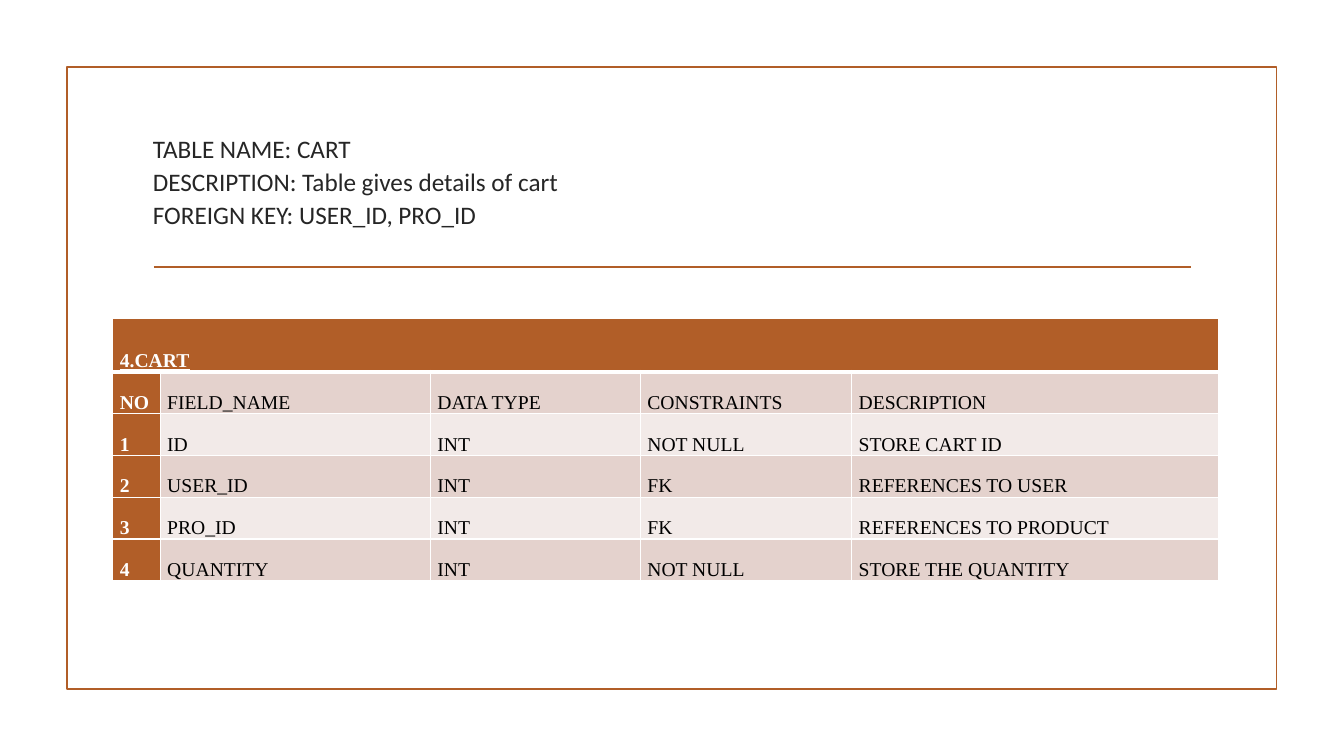
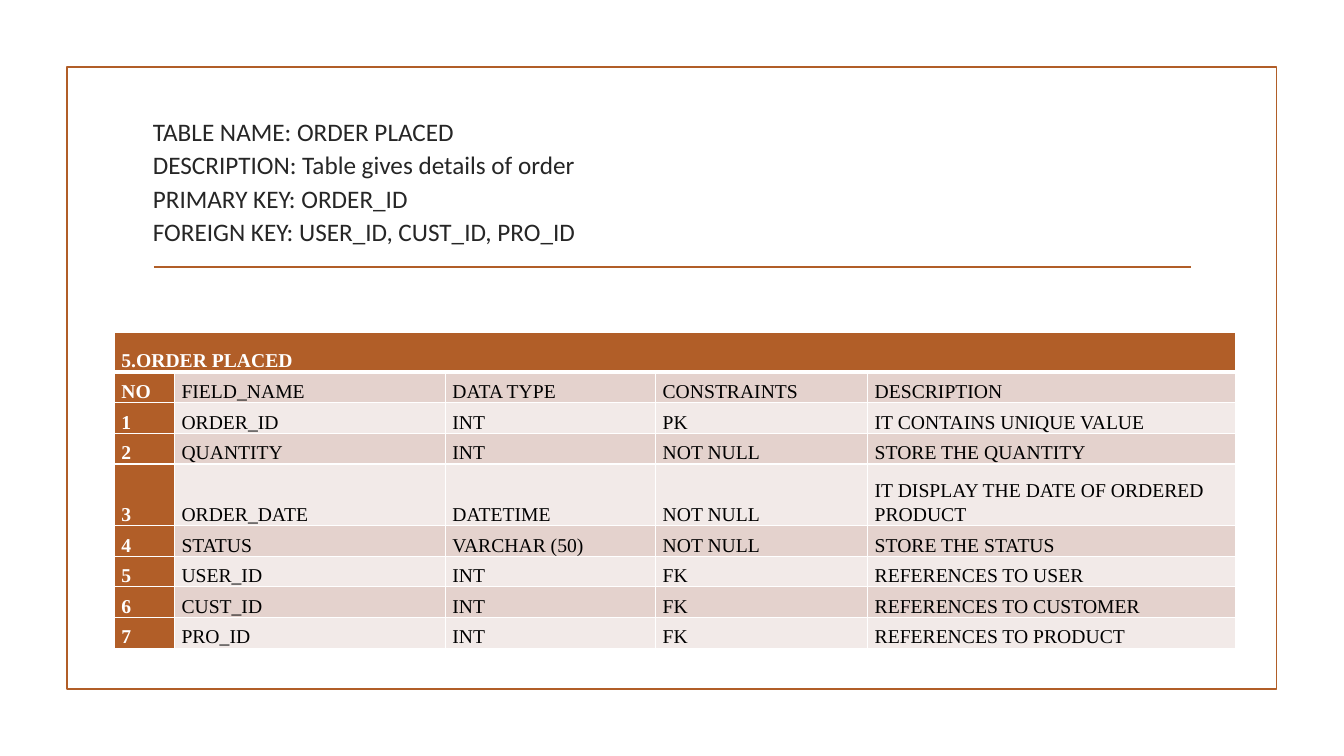
"""Build two data dictionary slides: the cart and order placed tables."""
from lxml import etree
from pptx import Presentation
from pptx.dml.color import RGBColor
from pptx.enum.shapes import MSO_CONNECTOR, MSO_SHAPE
from pptx.enum.text import MSO_ANCHOR, MSO_AUTO_SIZE, PP_ALIGN
from pptx.oxml.ns import qn
from pptx.util import Pt

STRAIGHT = MSO_CONNECTOR.STRAIGHT
RECTANGLE = MSO_SHAPE.RECTANGLE
MIDDLE, BOTTOM = MSO_ANCHOR.MIDDLE, MSO_ANCHOR.BOTTOM
NO_AUTOFIT = MSO_AUTO_SIZE.NONE
LEFT = PP_ALIGN.LEFT

COLORS = {
    "accent": "B15E28",
    "title": "262626",
    "band_dark": "E4D2CD",
    "band_light": "F2EAE8",
    "white": "FFFFFF",
    "black": "000000",
}
TITLE_ONLY = 5
HEADINGS = ["NO", "FIELD_NAME", "DATA TYPE", "CONSTRAINTS", "DESCRIPTION"]

TABLES = [
    {
        "summary": [
            "TABLE NAME: CART",
            "DESCRIPTION: Table gives details of cart",
            "FOREIGN KEY: USER_ID, PRO_ID",
        ],
        "caption": "4.CART",
        "position": (80.6, 227.5),
        "widths": [33.9, 193, 150, 151, 262],
        "heights": [38] + [29.9] * 5,
        "fields": [
            ["ID", "INT", "NOT NULL", "STORE CART ID"],
            ["USER_ID", "INT", "FK", "REFERENCES TO USER"],
            ["PRO_ID", "INT", "FK", "REFERENCES TO PRODUCT"],
            ["QUANTITY", "INT", "NOT NULL", "STORE THE QUANTITY"],
        ],
    },
    {
        "summary": [
            "TABLE NAME: ORDER PLACED",
            "DESCRIPTION: Table gives details of order",
            "PRIMARY KEY: ORDER_ID",
            "FOREIGN KEY: USER_ID, CUST_ID, PRO_ID",
        ],
        "caption": "5.ORDER PLACED",
        "position": (81.7, 237.6),
        "widths": [43, 193.5, 150.2, 151.5, 262.5],
        "heights": [28.2] + [21.9] * 3 + [44] + [21.9] * 4,
        "fields": [
            ["ORDER_ID", "INT", "PK", "IT CONTAINS UNIQUE VALUE"],
            ["QUANTITY", "INT", "NOT NULL", "STORE THE QUANTITY"],
            ["ORDER_DATE", "DATETIME", "NOT NULL",
             "IT DISPLAY THE DATE OF ORDERED PRODUCT"],
            ["STATUS", "VARCHAR (50)", "NOT NULL", "STORE THE STATUS"],
            ["USER_ID", "INT", "FK", "REFERENCES TO USER"],
            ["CUST_ID", "INT", "FK", "REFERENCES TO CUSTOMER"],
            ["PRO_ID", "INT", "FK", "REFERENCES TO PRODUCT"],
        ],
    },
]


def format_paragraph(paragraph, font_name, size, color, bold=False, underline=False):
    paragraph.alignment = LEFT
    paragraph.line_spacing = 1.1
    paragraph.space_before = Pt(0)
    paragraph.space_after = Pt(6)
    font = paragraph.font
    font.name = font_name
    font.size = Pt(size)
    font.bold = bold
    font.underline = underline
    font.color.rgb = RGBColor.from_string(COLORS[color])


def add_borders(cell, top, bottom):
    properties = cell._tc.get_or_add_tcPr()
    sides = [("a:lnL", 1), ("a:lnR", 1), ("a:lnT", top), ("a:lnB", bottom)]
    for index, (tag, width) in enumerate(sides):
        border = etree.Element(qn(tag), w=str(Pt(width)))
        fill = etree.SubElement(border, qn("a:solidFill"))
        etree.SubElement(fill, qn("a:srgbClr"), val=COLORS["white"])
        properties.insert(index, border)


prs = Presentation()
prs.slide_width, prs.slide_height = Pt(960), Pt(540)
accent = RGBColor.from_string(COLORS["accent"])

for entry in TABLES:
    slide = prs.slides.add_slide(prs.slide_layouts[TITLE_ONLY])

    frame = slide.shapes.add_shape(RECTANGLE, Pt(47.8), Pt(48), Pt(864), Pt(444))
    frame.shadow.inherit = False
    frame.fill.background()
    frame.line.color.rgb = accent
    frame.line.width = Pt(1.25)

    divider = slide.shapes.add_connector(STRAIGHT, Pt(110), Pt(190.8), Pt(850.5), Pt(190.8))
    divider.line.color.rgb = accent
    divider.line.width = Pt(1.25)
    etree.SubElement(divider._element.spPr, qn("a:effectLst"))

    title = slide.shapes.title
    title.left, title.top, title.width, title.height = Pt(102), Pt(77), Pt(756), Pt(103)
    title.text_frame.text = "\v".join(entry["summary"])
    title.text_frame.auto_size = NO_AUTOFIT
    title.text_frame.word_wrap = True
    title.text_frame.vertical_anchor = MIDDLE
    format_paragraph(title.text_frame.paragraphs[0], "Calibri", 18, "title")

    numbered = [[str(n)] + field for n, field in enumerate(entry["fields"], 1)]
    rows = [[entry["caption"], "", "", "", ""], HEADINGS] + numbered
    left, top = entry["position"]
    widths, heights = entry["widths"], entry["heights"]
    table = slide.shapes.add_table(
        len(rows), len(HEADINGS), Pt(left), Pt(top), Pt(sum(widths)), Pt(sum(heights))
    ).table
    for column, width in zip(table.columns, widths):
        column.width = Pt(width)
    for row, height in zip(table.rows, heights):
        row.height = Pt(height)
    table.cell(0, 0).merge(table.cell(0, len(HEADINGS) - 1))

    for r, values in enumerate(rows):
        band = "band_dark" if r % 2 else "band_light"
        for c, value in enumerate(values):
            is_header = r == 0 or c == 0
            cell = table.cell(r, c)
            cell.text = value
            cell.vertical_anchor = BOTTOM
            cell.margin_left = cell.margin_right = Pt(5)
            cell.margin_top, cell.margin_bottom = Pt(0.7), Pt(0)
            cell.fill.solid()
            cell.fill.fore_color.rgb = RGBColor.from_string(
                COLORS["accent" if is_header else band]
            )
            add_borders(cell, top=3 if r == 1 else 1, bottom=3 if r == 0 else 1)
            format_paragraph(
                cell.text_frame.paragraphs[0], "Times New Roman", 14,
                "white" if is_header else "black", bold=is_header, underline=r == 0,
            )

prs.save("out.pptx")
